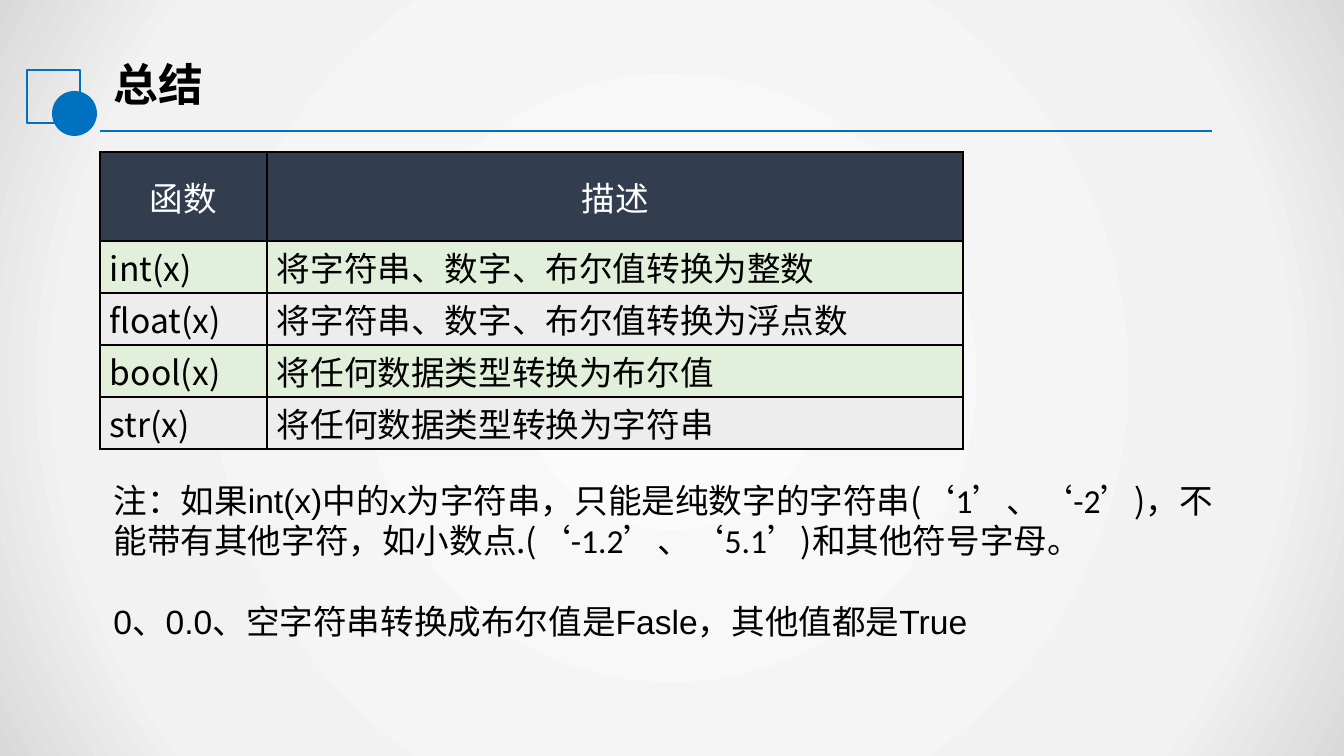
from lxml.etree import SubElement
from pptx import Presentation
from pptx.dml.color import RGBColor
from pptx.enum.shapes import MSO_CONNECTOR as CONN, MSO_SHAPE as SHAPE
from pptx.enum.text import MSO_ANCHOR as ANCHOR, MSO_AUTO_SIZE as FIT, PP_ALIGN as ALIGN
from pptx.oxml import parse_xml
from pptx.oxml.ns import nsdecls, qn
from pptx.util import Pt

SCALE = 914400 / 134.4
COLORS = {
    "accent": "0070C0", "text": "000000", "white": "FFFFFF", "page": "F2F2F2",
    "glow": "FBFBFB", "edge": "D9D9D9", "head": "323E4F", "green": "E2EFDA",
    "gray": "EDEDED", "border": "080000",
}
NOTO, ARIAL, CALIBRI = "Noto Sans CJK SC", "Arial", "Calibri"
ROWS = [
    ("函数", "描述"),
    ("int(x)", "将字符串、数字、布尔值转换为整数"),
    ("float(x)", "将字符串、数字、布尔值转换为浮点数"),
    ("bool(x)", "将任何数据类型转换为布尔值"),
    ("str(x)", "将任何数据类型转换为字符串"),
]
NOTES = [
    [
        ("注：如果int(x)中的x为字符串，只能是纯数字的字符串", ARIAL), ("(", NOTO),
        ("‘1’", CALIBRI), ("、", ARIAL), ("‘-2’", CALIBRI), (")", NOTO),
        ("，不能带有其他字符，如小数点", ARIAL), (".(", NOTO),
        ("‘-1.2’", CALIBRI), ("、", ARIAL), ("‘5.1’", CALIBRI), (")", NOTO),
        ("和其他符号字母。", ARIAL),
    ],
    [("0、0.0、空字符串转换成布尔值是Fasle，其他值都是True", ARIAL)],
]


def px(n):
    """Turn pixels into EMU."""
    return round(n * SCALE)


def rgb(name):
    """Look up a named colour."""
    return RGBColor.from_string(COLORS[name])


def apply(obj, values):
    """Set each attribute of an object from a dict."""
    for name, value in values.items():
        setattr(obj, name, value)


def place(obj, left, top, width, height):
    """Move and size an object in pixels."""
    apply(obj, {"left": px(left), "top": px(top), "width": px(width), "height": px(height)})


def add_run(p, text, face, size=18, color="text", bold=False):
    """Add a formatted run with a Chinese fallback face."""
    r = p.add_run()
    r.text = text
    apply(r.font, {"name": face, "size": Pt(size), "bold": bold})
    r.font.color.rgb = rgb(color)
    SubElement(r.font._element, qn("a:ea"), typeface=NOTO)


def add_shape(s, kind, box, fill=None, line=None):
    """Add a preset shape with an optional fill and outline."""
    sp = s.shapes.add_shape(kind, *map(px, box))
    sp.shadow.inherit = False
    if fill:
        sp.fill.solid()
        sp.fill.fore_color.rgb = rgb(fill)
    else:
        sp.fill.background()
    if line:
        sp.line.color.rgb = rgb(line)
        sp.line.width = Pt(0.75)
    else:
        sp.line.fill.background()
    return sp


def add_backdrop(s):
    """Lay a radial gradient behind everything on the slide."""
    s.background.fill.solid()
    s.background.fill.fore_color.rgb = rgb("page")
    sp = add_shape(s, SHAPE.RECTANGLE, (0, 0, 1344, 756), fill="page")
    stops = "".join(
        f'<a:gs pos="{pos * 1000}"><a:srgbClr val="{COLORS[name]}"/></a:gs>'
        for pos, name in ((0, "glow"), (79, "page"), (100, "edge"))
    )
    grad = parse_xml(
        f'<a:gradFill {nsdecls("a")}><a:gsLst>{stops}</a:gsLst><a:path path="circle">'
        '<a:fillToRect l="50000" t="50000" r="50000" b="50000"/></a:path></a:gradFill>'
    )
    props = sp._element.spPr
    props.replace(props.find(qn("a:solidFill")), grad)
    s.shapes._spTree.insert(2, sp._element)


def add_rule(s, left, right, y):
    """Add the line under the title."""
    line = s.shapes.add_connector(CONN.STRAIGHT, px(left), px(y), px(right), px(y))
    line.line.color.rgb = rgb("accent")
    line.line.width = Pt(1.25)
    SubElement(line._element.spPr, qn("a:effectLst"))


def fill_title(sp, text):
    """Place and write the title."""
    place(sp, 100, 50, 614, 67)
    tf = sp.text_frame
    apply(tf, {"word_wrap": True, "vertical_anchor": ANCHOR.TOP, "auto_size": FIT.NONE})
    p = tf.paragraphs[0]
    p.alignment = ALIGN.LEFT
    add_run(p, text, NOTO, size=24, bold=True)


def fill_notes(sp, notes):
    """Place and write the unbulleted notes."""
    place(sp, 100, 473, 1144, 220)
    tf = sp.text_frame
    apply(tf, {"word_wrap": True, "vertical_anchor": ANCHOR.TOP, "auto_size": FIT.NONE})
    for i, runs in enumerate(notes):
        p = tf.add_paragraph() if i else tf.paragraphs[0]
        p.space_before = Pt(22 if i else 0)
        props = p._p.get_or_add_pPr()
        props.set("marL", "0")
        props.set("indent", "0")
        SubElement(props, qn("a:buNone"))
        for text, face in runs:
            add_run(p, text, face)


def border_cell(cell):
    """Draw a thin line on all four sides of a cell."""
    props = cell._tc.get_or_add_tcPr()
    for i, side in enumerate(("lnL", "lnR", "lnT", "lnB")):
        line = parse_xml(
            f'<a:{side} {nsdecls("a")} w="{Pt(1)}"><a:solidFill>'
            f'<a:srgbClr val="{COLORS["border"]}"/></a:solidFill></a:{side}>'
        )
        props.insert(i, line)


def add_function_table(s, rows):
    """Add the table of conversion functions."""
    widths, heights = (167, 696), (89, 52, 52, 52, 52)
    box = (100, 152, sum(widths), sum(heights))
    table = s.shapes.add_table(len(rows), len(widths), *map(px, box)).table
    for col, width in zip(table.columns, widths):
        col.width = px(width)
    for i, texts in enumerate(rows):
        table.rows[i].height = px(heights[i])
        fill = ("green" if i % 2 else "gray") if i else "head"
        for j, text in enumerate(texts):
            cell = table.cell(i, j)
            apply(cell, {"margin_left": px(10), "margin_right": px(10), "margin_top": 0,
                         "margin_bottom": 0, "vertical_anchor": ANCHOR.MIDDLE})
            cell.fill.solid()
            cell.fill.fore_color.rgb = rgb(fill)
            border_cell(cell)
            p = cell.text_frame.paragraphs[0]
            p.alignment = ALIGN.LEFT if i else ALIGN.CENTER
            add_run(p, text, NOTO, color="text" if i else "white")


def main():
    """Build the summary slide."""
    prs = Presentation()
    apply(prs, {"slide_width": px(1344), "slide_height": px(756)})
    s = prs.slides.add_slide(prs.slide_layouts[1])
    add_backdrop(s)
    fill_title(s.shapes.title, "总结")
    add_shape(s, SHAPE.RECTANGLE, (27, 70, 53, 53), line="accent")
    add_rule(s, 100, 1212, 131)
    add_shape(s, SHAPE.OVAL, (52, 91, 45, 45), fill="accent")
    add_function_table(s, ROWS)
    fill_notes(s.placeholders[1], NOTES)
    prs.save("out.pptx")


if __name__ == "__main__":
    main()
